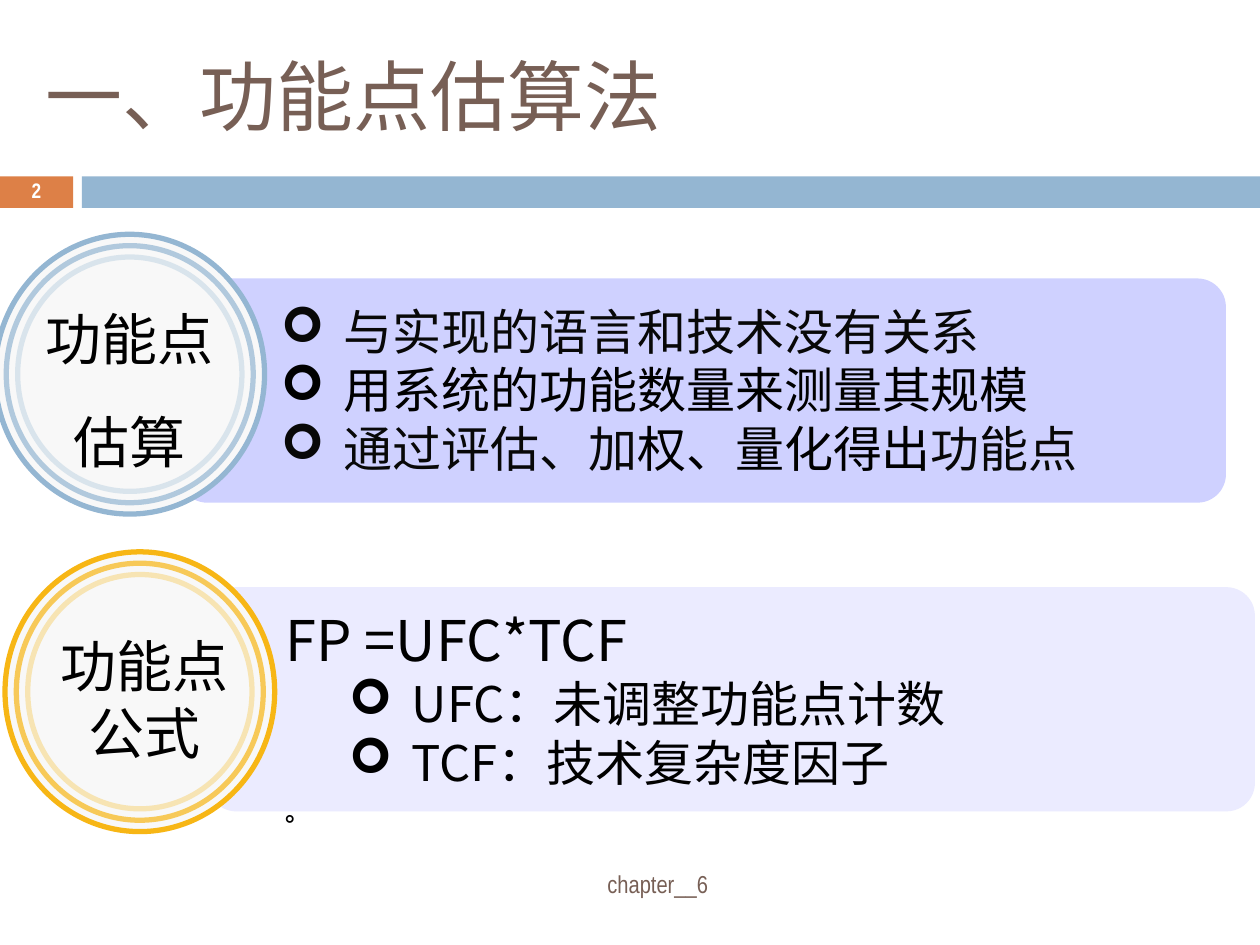
from lxml.etree import SubElement
from pptx import Presentation
from pptx.dml.color import RGBColor
from pptx.enum.shapes import MSO_SHAPE as Shape
from pptx.enum.text import MSO_ANCHOR as Anchor, PP_ALIGN as Align
from pptx.oxml.ns import qn
from pptx.util import Inches, Pt

SANS_JP = "Noto Sans CJK JP"
SANS_SC = "Noto Sans CJK SC"
NARROW = "Arial Narrow"
BLACK, SOFT_BLACK, BROWN = "000000", "080808", "775F55"
BLUE, ORANGE, YELLOW = "94B6D2", "DD8047", "F7B615"


def rgb(value):
    """Turn a hex string into a colour."""
    return RGBColor.from_string(value)


def set_values(target, values):
    """Set each attribute named in the dict on the target."""
    for name, value in values.items():
        setattr(target, name, value)


def add_block(slide, kind, box, fill=None, line=None, opacity=100):
    """Add a preset shape with an optional fill and ring line."""
    shape = slide.shapes.add_shape(kind, *map(Inches, box))
    shape.shadow.inherit = False
    if fill:
        shape.fill.solid()
        shape.fill.fore_color.rgb = rgb(fill)
    else:
        shape.fill.background()
    if line:
        shape.line.width = Pt(3)
        shape.line.color.rgb = rgb(line)
        colour = shape.line._ln.find(".//" + qn("a:srgbClr"))
        SubElement(colour, qn("a:alpha"), val=str(opacity * 1000))
    else:
        shape.line.fill.background()
    return shape


def add_bullet(paragraph, colour, indent):
    """Give the paragraph a hanging arrow bullet."""
    properties = paragraph._p.get_or_add_pPr()
    properties.set("marL", str(Inches(indent)))
    properties.set("indent", str(-Inches(0.5)))
    bullet_colour = SubElement(properties, qn("a:buClr"))
    SubElement(bullet_colour, qn("a:srgbClr"), val=colour)
    SubElement(properties, qn("a:buFont"), typeface="Wingdings")
    SubElement(properties, qn("a:buChar"), char="➢")


def add_text(slide, box, paragraphs, anchor=Anchor.TOP):
    """Add a wrapped text box from dicts that describe its paragraphs."""
    frame = slide.shapes.add_textbox(*map(Inches, box)).text_frame
    set_values(frame, {"word_wrap": True, "vertical_anchor": anchor})
    for index, item in enumerate(paragraphs):
        paragraph = frame.add_paragraph() if index else frame.paragraphs[0]
        set_values(paragraph, item.get("layout", {}))
        for text, colour in item["runs"]:
            run = paragraph.add_run()
            run.text = text
            name = item.get("font", SANS_JP)
            set_values(run.font, {"size": Pt(item["size"]), "name": name,
                                  "bold": item.get("bold", False)})
            run.font.color.rgb = rgb(colour)
            SubElement(run._r.get_or_add_rPr(), qn("a:ea"), typeface=name)
        if "indent" in item:
            add_bullet(paragraph, item["runs"][0][1], item["indent"])


def add_header(slide, box):
    """Place the title, the band and the page number."""
    left, top, width, height = box
    band_top = top + 1.4
    add_block(slide, Shape.RECTANGLE, (left, band_top, 0.58, 0.25), ORANGE)
    add_block(slide, Shape.RECTANGLE,
              (left + 0.65, band_top, width - 0.65, 0.25), BLUE)
    add_text(slide, (left + 0.26, top + 0.21, 8.92, 1.08),
             [{"runs": [("一、功能点估算法", BROWN)], "size": 44,
               "font": SANS_SC}], Anchor.MIDDLE)
    add_text(slide, (left, band_top - 0.01, 0.58, 0.27),
             [{"runs": [("2", "FFFFFF")], "size": 12, "font": NARROW,
               "bold": True,
               "layout": {"alignment": Align.CENTER, "line_spacing": 0.8}}],
             Anchor.MIDDLE)


def add_footer(slide, box):
    """Place the chapter name."""
    add_text(slide, box,
             [{"runs": [("chapter__6", BROWN)], "size": 14, "font": NARROW,
               "layout": {"alignment": Align.CENTER}}], Anchor.MIDDLE)


def add_badge(slide, box, colour, label_box, lines):
    """Place three nested rings that fade inwards, with a label."""
    left, top, width, height = box
    for step, opacity in enumerate((100, 70, 30)):
        inset = 0.09 * step
        ring = (left + inset, top + inset,
                width - 2 * inset, height - 2 * inset)
        add_block(slide, Shape.OVAL, ring, None if step else "F8F8F8",
                  colour, opacity)
    layout = {"alignment": Align.CENTER, "space_before": Pt(20)}
    add_text(slide, label_box,
             [{"runs": [(line, BLACK)], "size": 32, "layout": layout}
              for line in lines])


def add_panel(slide, box, fill):
    """Place a rounded panel."""
    panel = add_block(slide, Shape.ROUNDED_RECTANGLE, box, fill)
    panel.adjustments[0] = 0.127


def add_estimation(slide, box):
    """Place the section on function point estimation."""
    left, top, width, height = box
    add_panel(slide, (left + 1.46, top + 0.35, 8.31, 1.78), "CFD1FF")
    points = (
        [("与实现的语言和技术没有关系", SOFT_BLACK)],
        [("用系统的功能数量来测量其规模", BLACK)],
        [("通过评估、加", SOFT_BLACK), ("权、量化得出", BLACK),
         ("功能点", SOFT_BLACK)],
    )
    add_text(slide, (left + 2.17, top + 0.48, 7.55, 1.5),
             [{"runs": runs, "size": 28, "indent": 0.5} for runs in points])
    add_badge(slide, (left, top, 2.14, height), BLUE,
              (left + 0.05, top + 0.51, 2.04, 1.45), ("功能点", "估算"))


def add_formula(slide, box):
    """Place the section on the function point formula."""
    left, top, width, height = box
    add_panel(slide, (left + 1.61, top + 0.28, 8.31, 1.78), "EBEBFF")
    add_badge(slide, (left, top, 2.14, height), YELLOW,
              (left + 0.17, top + 0.58, 1.87, 1.17), ("功能点公式",))
    terms = [{"runs": [(text, BLACK)], "size": 28, "indent": 1,
              "layout": {"level": 1}}
             for text in ("UFC：未调整功能点计数", "TCF：技术复杂度因子")]
    heading = {"runs": [("FP =UFC*TCF", BLACK)], "size": 32}
    ending = {"runs": [("。", BLACK)], "size": 14, "font": SANS_SC,
              "bold": True,
              "layout": {"alignment": Align.JUSTIFY, "line_spacing": 1.2}}
    add_text(slide, (left + 2.13, top + 0.38, 7.66, 1.85),
             [heading, *terms, ending])


def main():
    """Build the slide and save it."""
    presentation = Presentation()
    set_values(presentation, {"slide_width": Inches(10),
                              "slide_height": Inches(7.5)})
    slide = presentation.slides.add_slide(presentation.slide_layouts[6])
    add_header(slide, (0, 0, 10, 1.65))
    add_footer(slide, (1.21, 6.74, 8.02, 0.54))
    add_estimation(slide, (-0.04, 1.86, 9.77, 2.22))
    add_formula(slide, (0.04, 4.38, 9.92, 2.22))
    presentation.save("out.pptx")


if __name__ == "__main__":
    main()
